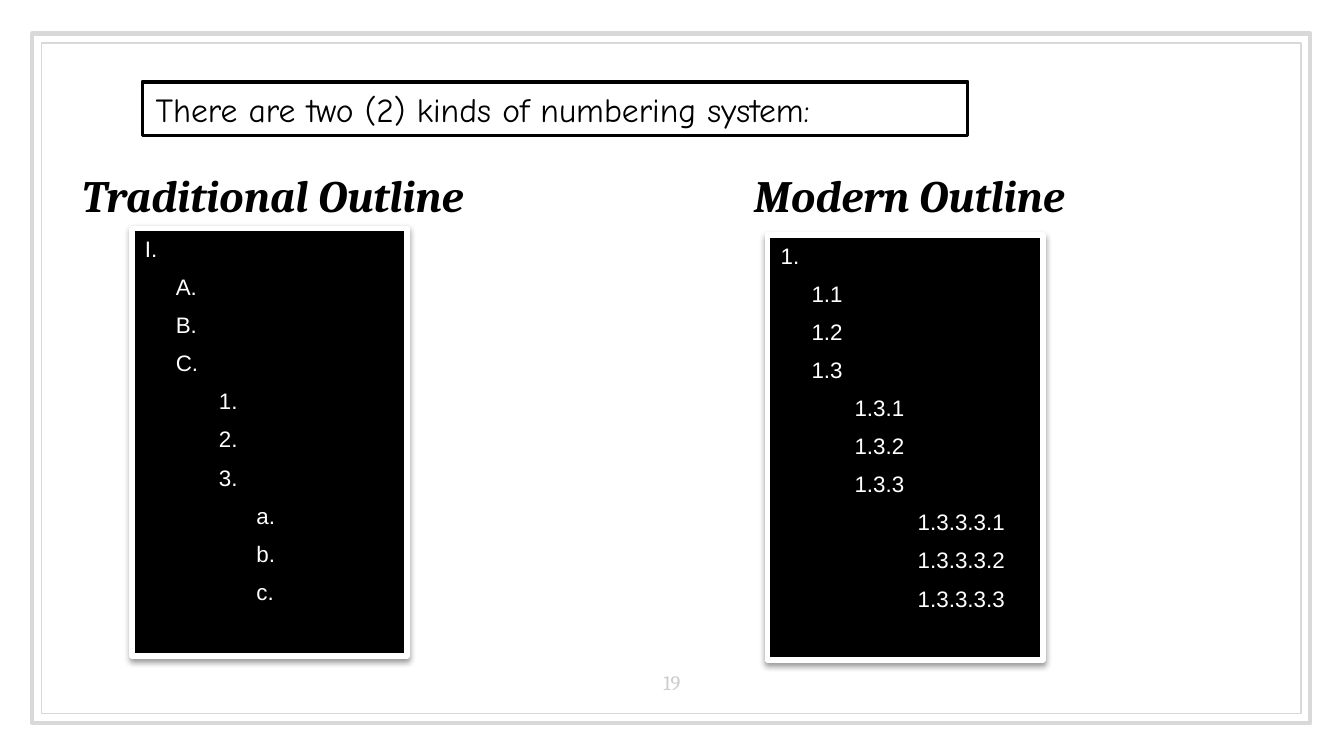
from lxml import etree
from pptx import Presentation
from pptx.dml.color import RGBColor
from pptx.enum.shapes import MSO_SHAPE
from pptx.enum.text import MSO_ANCHOR, PP_ALIGN
from pptx.oxml.ns import qn
from pptx.util import Inches, Pt

RECT = MSO_SHAPE.RECTANGLE
TOP, BOTTOM = MSO_ANCHOR.TOP, MSO_ANCHOR.BOTTOM
LEFT, CENTER = PP_ALIGN.LEFT, PP_ALIGN.CENTER

# Content
WIDTH = 10
HEIGHT = WIDTH * 9 / 16
INTRO = "There are two (2) kinds of numbering system:"
PAGE_NUMBER = "19"
FRAMES = [(0.24, 0.25, 9.51, 5.13, 2.25), (0.31, 0.32, 9.37, 4.99, 0.75)]
OUTLINES = [
    {"heading": "Traditional Outline", "panel": (0.98, 1.7, 2.05, 3.18),
     "indents": (0, 0.23, 0.55, 0.83),
     "levels": [["I."], ["A.", "B.", "C."], ["1.", "2.", "3."], ["a.", "b.", "c."]]},
    {"heading": "Modern Outline", "panel": (5.71, 1.75, 2.05, 3.16),
     "indents": (0, 0.23, 0.55, 1.02),
     "levels": [["1."], ["1.1", "1.2", "1.3"], ["1.3.1", "1.3.2", "1.3.3"],
                ["1.3.3.3.1", "1.3.3.3.2", "1.3.3.3.3"]]},
]
HEADING_LEFT, HEADING_STEP = 0.51, 5

# Formats
INTRO_FONT = {"name": "Comic Neue", "size": Pt(18)}
HEADING_FONT = {"name": "Cambria", "size": Pt(24), "bold": True, "italic": True}
PANEL_FONT = {"name": "Arial", "size": Pt(12)}
NUMBER_FONT = {"name": "Cambria", "size": Pt(11)}

deck = Presentation()
deck.slide_width, deck.slide_height = Inches(WIDTH), Inches(HEIGHT)
slide = deck.slides.add_slide(deck.slide_layouts[6])


def color(value):
    return RGBColor.from_string(value)


def add_box(place, line, weight, fill=None):
    box = slide.shapes.add_shape(RECT, *map(Inches, place))
    box.shadow.inherit = False
    if fill:
        box.fill.solid()
        box.fill.fore_color.rgb = color(fill)
    else:
        box.fill.background()
    box.line.color.rgb = color(line)
    box.line.width = Pt(weight)
    return box


def add_label(place):
    return slide.shapes.add_textbox(*map(Inches, place))


def write(shape, lines, font, ink, inset=0.1, before=0, align=LEFT, anchor=TOP):
    """Fill a shape with (text, indent) lines."""
    frame = shape.text_frame
    layout = {"word_wrap": True, "vertical_anchor": anchor,
              "margin_left": Inches(0.1), "margin_right": Inches(0.1),
              "margin_top": Inches(inset), "margin_bottom": Inches(inset)}
    for key, value in layout.items():
        setattr(frame, key, value)
    for i, (text, indent) in enumerate(lines):
        paragraph = frame.add_paragraph() if i else frame.paragraphs[0]
        paragraph.alignment = align
        if i:
            paragraph.space_before = Pt(before)
        if indent:
            paragraph._p.get_or_add_pPr().set("marL", str(Inches(indent)))
        run = paragraph.add_run()
        run.text = text
        for key, value in font.items():
            setattr(run.font, key, value)
        run.font.color.rgb = color(ink)


def add_shadow(shape):
    effects = shape._element.spPr.find(qn("a:effectLst"))
    shadow = etree.SubElement(effects, qn("a:outerShdw"), blurRad=str(Pt(3.1)),
                              dist=str(Pt(1.6)), dir="5400000", rotWithShape="0")
    black = etree.SubElement(shadow, qn("a:srgbClr"), val="000000")
    etree.SubElement(black, qn("a:alpha"), val="38000")


# Double border
for *place, weight in FRAMES:
    add_box(place, "D9D9D9", weight)

# Headings
for column, outline in enumerate(OUTLINES):
    heading = add_label((HEADING_LEFT + column * HEADING_STEP, 1.15, 3.82, 0.55))
    write(heading, [(outline["heading"], 0)], HEADING_FONT, "000000")

# Page number
write(add_label((4.7, 4.83, 0.6, 0.43)), [(PAGE_NUMBER, 0)], NUMBER_FONT, "CCCCCC",
      align=CENTER, anchor=BOTTOM)

# Introduction
intro = add_box((1.06, 0.61, 6.14, 0.4), "000000", 2, "FFFFFF")
write(intro, [(INTRO, 0)], INTRO_FONT, "000000", inset=0.05)

# Outline panels
for outline in OUTLINES:
    panel = add_box(outline["panel"], "FFFFFF", 3, "000000")
    add_shadow(panel)
    entries = [(mark, indent)
               for indent, marks in zip(outline["indents"], outline["levels"])
               for mark in marks]
    write(panel, entries, PANEL_FONT, "FFFFFF", inset=0.05, before=6)

deck.save("out.pptx")
